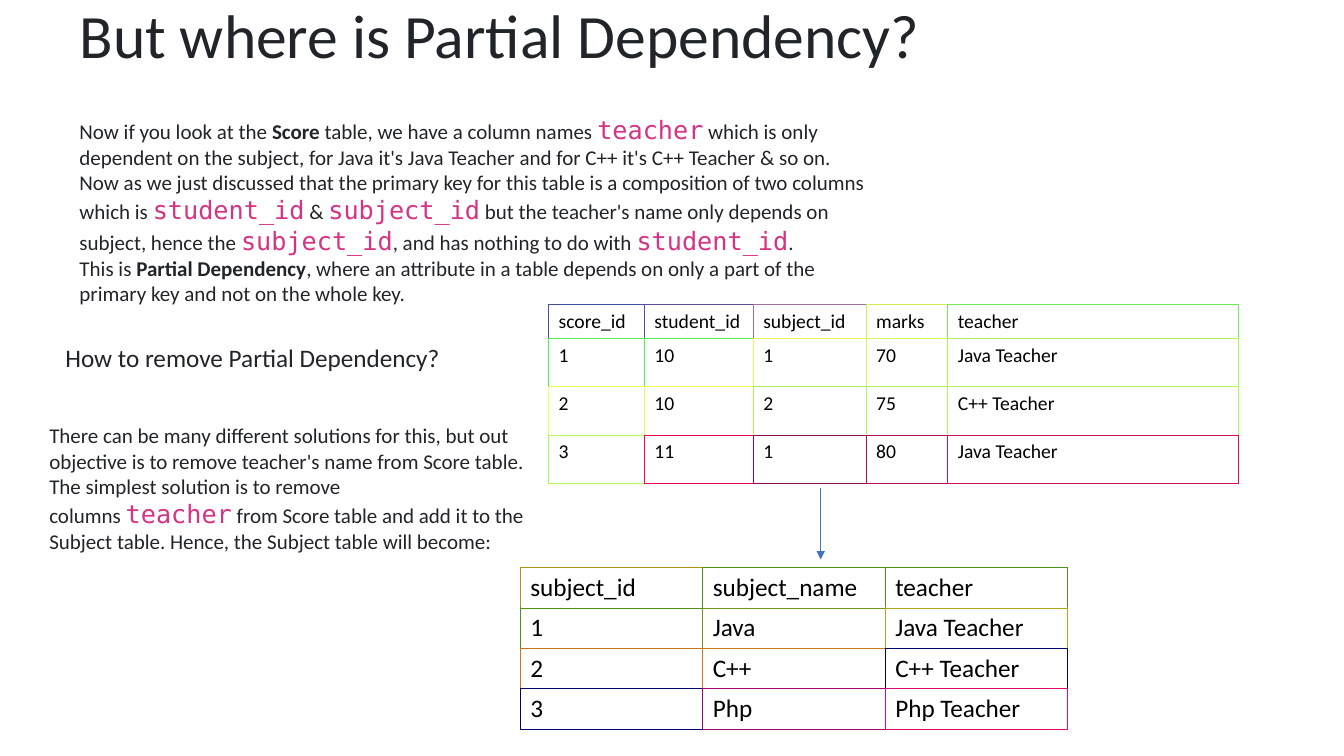
from lxml.etree import SubElement
from pptx import Presentation
from pptx.dml.color import RGBColor
from pptx.enum.shapes import MSO_CONNECTOR, MSO_SHAPE
from pptx.enum.text import MSO_ANCHOR, PP_ALIGN
from pptx.oxml.ns import qn
from pptx.util import Inches, Pt

COLORS = {"text": "212529", "code": "D63384", "cell": "000000",
          "paper": "FFFFFF", "arrow": "4472C4"}
BODY_FONT = "Calibri"
CODE_FONT = "DejaVu Sans Mono"
HARD_SPACE = chr(160)

# Paragraphs are lists of (text, kind) spans
DEPENDENCY_TEXT = [
    [("Now if you look at the ", "plain"), ("Score", "bold"),
     (" table, we have a column names ", "plain"), ("teacher", "code"),
     (" which is only dependent on the subject, for Java it's Java Teacher "
      "and for C++ it's C++ Teacher & so on.", "plain")],
    [("Now as we just discussed that the primary key for this table is a "
      "composition of two columns which is ", "plain"),
     ("student_id", "code"), (" & ", "plain"), ("subject_id", "code"),
     (" but the teacher's name only depends on subject, hence the ", "plain"),
     ("subject_id", "code"), (", and has nothing to do with ", "plain"),
     ("student_id", "code"), (".", "plain")],
    [("This is ", "plain"), ("Partial Dependency", "bold"),
     (", where an attribute in a table depends on only a part of the primary "
      "key and not on the whole key.", "plain")],
]
SOLUTION_TEXT = [
    [("There can be many different solutions for this, but out objective is "
      "to remove teacher's name from Score table.", "plain")],
    [("The simplest solution is to remove columns" + " ", "plain"),
     ("teacher", "code"),
     (" from Score table and add it to the Subject table. Hence, the Subject "
      "table will become:", "plain")],
]

SCORE_ROWS = [
    ["score_id", "student_id", "subject_id", "marks", "teacher"],
    ["1", "10", "1", "70", "Java Teacher"],
    ["2", "10", "2", "75", "C++ Teacher"],
    ["3", "11", "1", "80", "Java Teacher"],
]
SCORE_BORDERS = [
    ["404E9D", "604A9D", "A0709D", "D0ED54", "70EC54"],
    ["50ED54", "50EF54", "F0F554", "D0FA54", "B0F454"],
    ["F0FA54", "F0F654", "B0F454", "B0F954", "B0F954"],
    ["B0F954", "F00355", "900B55", "B00D55", "D01155"],
]
SUBJECT_ROWS = [
    ["subject_id", "subject_name", "teacher"],
    ["1", "Java", "Java Teacher"],
    ["2", "C++", "C++ Teacher"],
    ["3", "Php", "Php Teacher"],
]
SUBJECT_BORDERS = [
    ["B09518", "509218", "509118"],
    ["509118", "709818", "B0A618"],
    ["D07318", "D07918", "000273"],
    ["000273", "A00573", "E00873"],
]


def color(name):
    return RGBColor.from_string(COLORS[name])


def format_span(span, size, color_name="text", font=BODY_FONT, bold=False):
    span.font.size = Pt(size)
    span.font.name = font
    span.font.bold = bold
    span.font.color.rgb = color(color_name)


def add_title(page, text):
    title = page.shapes.title
    title.left, title.top = Inches(0.69), Inches(0)
    title.width, title.height = Inches(11.5), Inches(1.45)
    title.text_frame.text = text
    title.text_frame.vertical_anchor = MSO_ANCHOR.TOP
    para = title.text_frame.paragraphs[0]
    para.alignment = PP_ALIGN.LEFT
    para.line_spacing = 0.9
    format_span(para.runs[0], 44)


def add_heading(page, text, left, top, width, height):
    box = page.shapes.add_textbox(Inches(left), Inches(top), Inches(width), Inches(height))
    box.text_frame.word_wrap = True
    box.text_frame.text = text
    format_span(box.text_frame.paragraphs[0].runs[0], 18)


def fill_paragraph(para, spans):
    para.alignment = PP_ALIGN.LEFT
    for text, kind in spans:
        # Spaces next to highlighted words do not break
        if text.startswith(" "):
            text = HARD_SPACE + text[1:]
        if text.endswith(" "):
            text = text[:-1] + HARD_SPACE
        span = para.add_run()
        span.text = text
        if kind == "code":
            format_span(span, 18, "code", CODE_FONT)
        else:
            format_span(span, 15, bold=kind == "bold")


def add_body(page, paragraphs, left, top, width, height):
    box = page.shapes.add_shape(MSO_SHAPE.RECTANGLE, Inches(left), Inches(top),
                                Inches(width), Inches(height))
    box.shadow.inherit = False
    box.fill.solid()
    box.fill.fore_color.rgb = color("paper")
    box.line.fill.background()
    frame = box.text_frame
    frame.word_wrap = True
    frame.vertical_anchor = MSO_ANCHOR.MIDDLE
    for index, spans in enumerate(paragraphs):
        para = frame.add_paragraph() if index else frame.paragraphs[0]
        fill_paragraph(para, spans)


def set_borders(cell, side_colors):
    properties = cell._tc.get_or_add_tcPr()
    for index, (side, hex_color) in enumerate(side_colors.items()):
        line = properties.makeelement(qn("a:" + side), {"w": str(Pt(0.6))})
        fill = SubElement(line, qn("a:solidFill"))
        SubElement(fill, qn("a:srgbClr"), val=hex_color)
        properties.insert(index, line)


def add_grid(page, rows, borders, left, top, widths, heights, size):
    frame = page.shapes.add_table(len(rows), len(widths), Inches(left), Inches(top),
                                  Inches(sum(widths)), Inches(sum(heights)))
    table = frame.table
    table.first_row = table.horz_banding = False
    for column, width in zip(table.columns, widths):
        column.width = Inches(width)
    last_row, last_column = len(rows) - 1, len(widths) - 1
    for r, texts in enumerate(rows):
        table.rows[r].height = Inches(heights[r])
        for c, text in enumerate(texts):
            cell = table.cell(r, c)
            cell.text_frame.text = text
            format_span(cell.text_frame.paragraphs[0].runs[0], size, "cell")
            cell.fill.solid()
            cell.fill.fore_color.rgb = color("paper")
            # Shared edges take the colour of the following cell
            set_borders(cell, {
                "lnL": borders[r][c],
                "lnR": borders[r][min(c + 1, last_column)],
                "lnT": borders[r][c],
                "lnB": borders[min(r + 1, last_row)][c],
            })


def add_arrow(page, x, top, bottom):
    arrow = page.shapes.add_connector(MSO_CONNECTOR.STRAIGHT, Inches(x), Inches(top),
                                      Inches(x), Inches(bottom))
    arrow.line.color.rgb = color("arrow")
    arrow.line.width = Pt(0.5)
    SubElement(arrow.line._get_or_add_ln(), qn("a:tailEnd"), type="triangle")
    SubElement(arrow._element.spPr, qn("a:effectLst"))


def main():
    deck = Presentation()
    deck.slide_width, deck.slide_height = Inches(13.33), Inches(7.5)
    page = deck.slides.add_slide(deck.slide_layouts[5])

    # Where the dependency is
    add_title(page, "But where is Partial Dependency?")
    add_body(page, DEPENDENCY_TEXT, 0.69, 1.07, 8.17, 2.02)
    add_grid(page, SCORE_ROWS, SCORE_BORDERS, 5.44, 3.02,
             [0.95, 1.08, 1.12, 0.81, 2.88], [0.33] + [0.48] * 3, 14)

    # How to remove it
    add_heading(page, "How to remove Partial Dependency?", 0.55, 3.35, 4.27, 0.4)
    add_body(page, SOLUTION_TEXT, 0.39, 4.14, 4.92, 1.41)
    add_grid(page, SUBJECT_ROWS, SUBJECT_BORDERS, 5.16, 5.63,
             [1.81] * 3, [0.4] * 4, 18)
    add_arrow(page, 8.14, 4.84, 5.55)

    deck.save("out.pptx")


if __name__ == "__main__":
    main()
